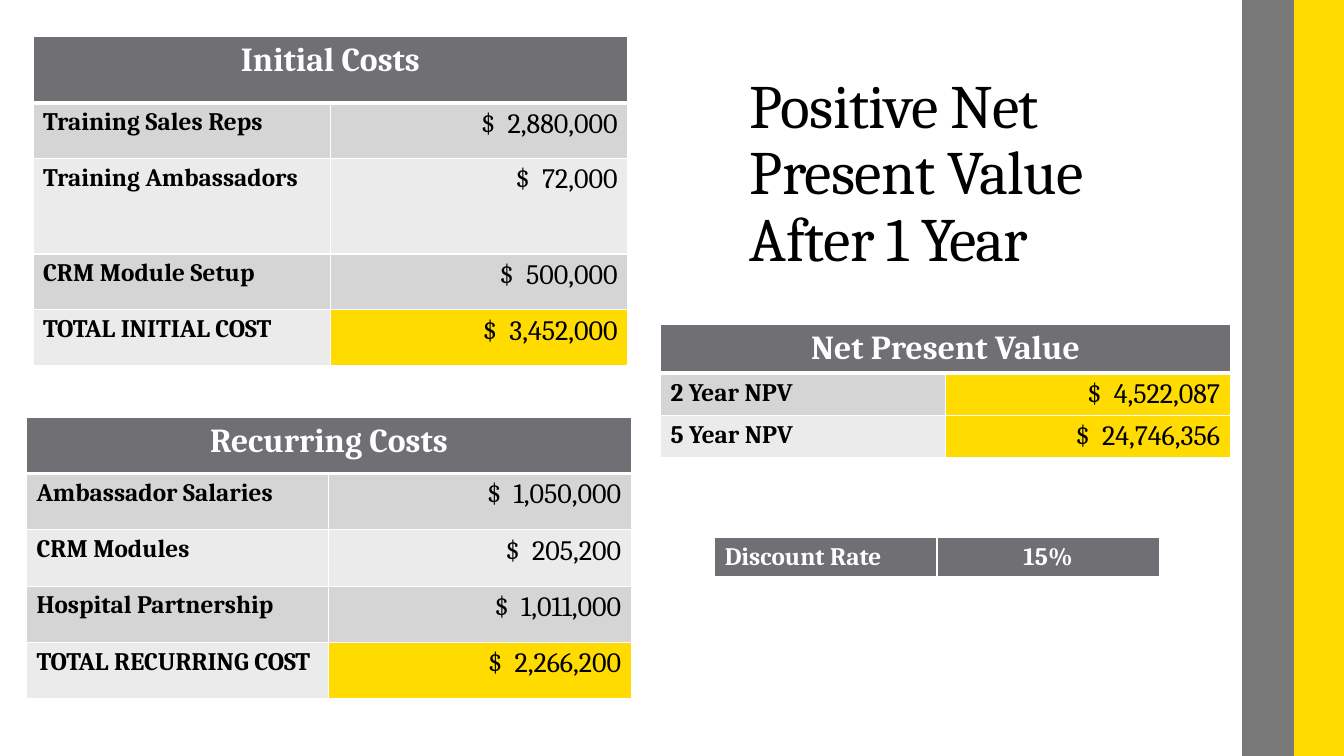
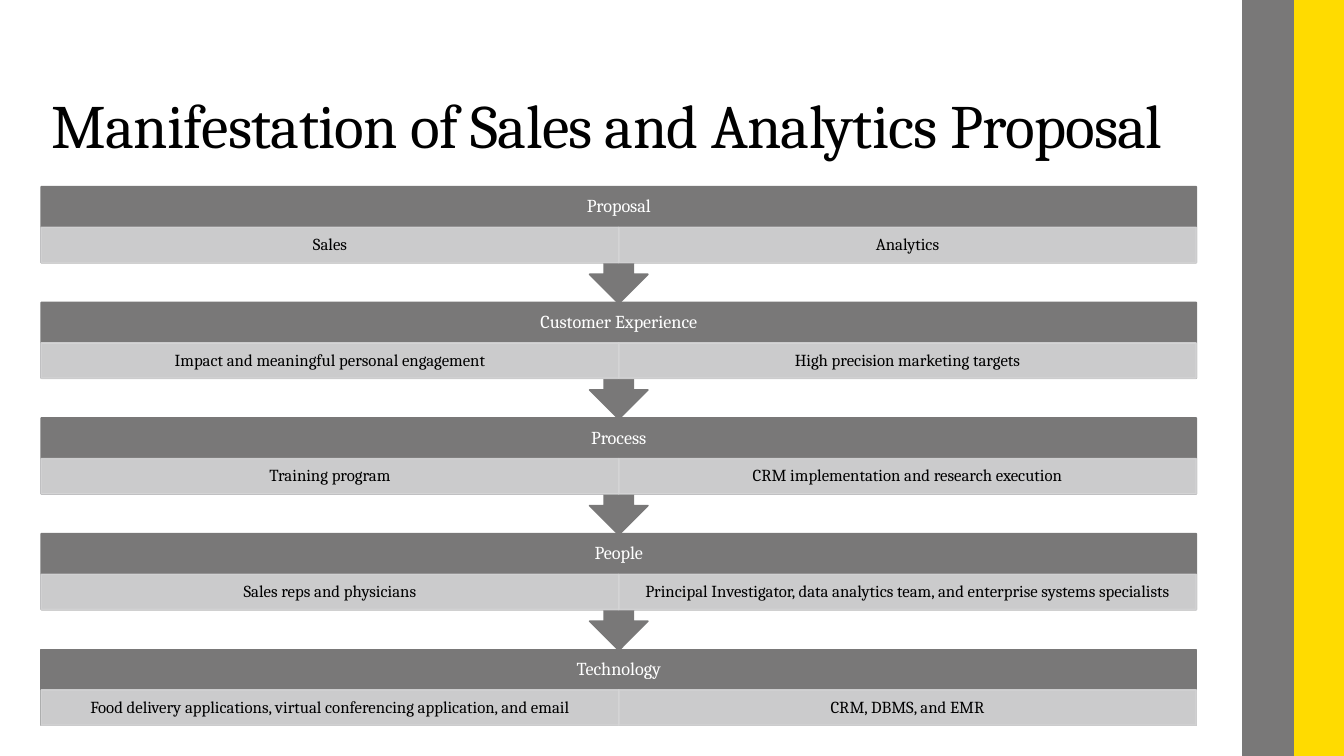
import pptx
import pptx.util
import pptx.dml.color
import pptx.enum.shapes
import pptx.enum.text
import pptx.oxml
import pptx.oxml.ns

Pt = pptx.util.Pt
RGBColor = pptx.dml.color.RGBColor
SHAPE = pptx.enum.shapes.MSO_SHAPE
ALIGN = pptx.enum.text.PP_ALIGN
ANCHOR = pptx.enum.text.MSO_ANCHOR

# Shared look
FONT = "Cambria"
BLACK = RGBColor(0x00, 0x00, 0x00)
WHITE = RGBColor(0xFF, 0xFF, 0xFF)
YELLOW = RGBColor(0xFF, 0xDB, 0x00)
GRAY = RGBColor(0x79, 0x78, 0x78)
HEADER = RGBColor(0x6F, 0x6F, 0x74)
STRIPES = (RGBColor(0xD5, 0xD5, 0xD6), RGBColor(0xEB, 0xEB, 0xEB))
SLIDE_W, SLIDE_H = 960, 540
BANDS = [(YELLOW, 924), (GRAY, 888)]
BAND_W = 36

# Content
NPV_TITLE = ("Positive Net Present Value After 1 Year", (528.5, 28.8, 341.3, 171))
FLOW_TITLE = ("Manifestation of Sales and Analytics Proposal", (29.5, 15, 831, 104.5))

# "marked" is the number of closing rows with a yellow amount
COST_TABLES = [
    {"title": "Recurring Costs", "at": (18.9, 297.9), "width": 432,
     "heights": [40.3] * 5, "marked": 1,
     "rows": [("Ambassador Salaries", 1050000), ("CRM Modules", 205200),
              ("Hospital Partnership", 1011000), ("TOTAL RECURRING COST", 2266200)]},
    {"title": "Initial Costs", "at": (23.6, 26.2), "width": 424.8,
     "heights": [47.3, 39.6, 68.4, 39.8, 39.8], "marked": 1,
     "rows": [("Training Sales Reps", 2880000), ("Training Ambassadors", 72000),
              ("CRM Module Setup", 500000), ("TOTAL INITIAL COST", 3452000)]},
    {"title": "Net Present Value", "at": (471.8, 231.8), "width": 407,
     "heights": [34.5, 30, 30], "marked": 2,
     "rows": [("2 Year NPV", 4522087), ("5 Year NPV", 24746356)]},
]
DISCOUNT = [("Discount Rate", ALIGN.LEFT), ("15%", ALIGN.CENTER)]

STEPS = [
    ("Proposal", "Sales", "Analytics"),
    ("Customer Experience", "Impact and meaningful personal engagement",
     "High precision marketing targets"),
    ("Process", "Training program", "CRM implementation and research execution"),
    ("People", "Sales reps and physicians",
     "Principal Investigator, data analytics team, and enterprise systems specialists"),
    ("Technology",
     "Food delivery applications, virtual conferencing application, and email",
     "CRM, DBMS, and EMR"),
]


def write(tf, text, size, color, bold=False, align=ALIGN.LEFT, spacing=None):
    p = tf.paragraphs[0]
    p.alignment = align
    p.line_spacing = spacing
    r = p.add_run()
    r.text = text
    for name, value in {"name": FONT, "size": Pt(size), "bold": bold}.items():
        setattr(r.font, name, value)
    r.font.color.rgb = color
    return r


def add_box(s, kind, at, color, opacity=100):
    sp = s.shapes.add_shape(kind, *map(Pt, at))
    sp.shadow.inherit = False
    sp.fill.solid()
    sp.fill.fore_color.rgb = color
    sp.line.color.rgb = color
    sp.line.width = Pt(1.1)
    if opacity < 100:
        for clr in sp._element.spPr.iter(pptx.oxml.ns.qn("a:srgbClr")):
            alpha = pptx.oxml.parse_xml(
                f'<a:alpha {pptx.oxml.ns.nsdecls("a")} val="{opacity * 1000}"/>')
            clr.append(alpha)
    return sp


def write_box(sp, text, size, color, bottom=0):
    tf = sp.text_frame
    margins = {"margin_left": 6.5, "margin_right": 6.5,
               "margin_top": 0, "margin_bottom": bottom}
    for name, value in margins.items():
        setattr(tf, name, Pt(value))
    tf.word_wrap = True
    tf.vertical_anchor = ANCHOR.MIDDLE
    write(tf, text, size, color, align=ALIGN.CENTER, spacing=0.9)


def add_slide(prs, title, at):
    s = prs.slides.add_slide(prs.slide_layouts[5])
    sp = s.shapes.title
    sp.left, sp.top, sp.width, sp.height = map(Pt, at)
    tf = sp.text_frame
    tf.word_wrap = True
    tf.auto_size = pptx.enum.text.MSO_AUTO_SIZE.NONE
    tf.vertical_anchor = ANCHOR.BOTTOM
    r = write(tf, title, 44, BLACK, spacing=0.9)
    r._r.get_or_add_rPr().set("spc", "-50")
    for color, left in BANDS:
        add_box(s, SHAPE.RECTANGLE, (left, 0, BAND_W, SLIDE_H), color)
    return s


def format_cell(cell, color, top=1, bottom=1):
    tc_pr = cell._tc.get_or_add_tcPr()
    for side, width in {"L": 1, "R": 1, "T": top, "B": bottom}.items():
        tc_pr.append(pptx.oxml.parse_xml(
            f'<a:ln{side} {pptx.oxml.ns.nsdecls("a")} w="{Pt(width)}"><a:solidFill>'
            f'<a:srgbClr val="{WHITE}"/></a:solidFill></a:ln{side}>'))
    cell.fill.solid()
    cell.fill.fore_color.rgb = color


def add_table(s, at, width, heights):
    frame = s.shapes.add_table(len(heights), 2, *map(Pt, (*at, width, sum(heights))))
    table = frame.table
    table.horz_banding = False
    for column in table.columns:
        column.width = Pt(width / 2)
    for row, height in zip(table.rows, heights):
        row.height = Pt(height)
    return table


def add_cost_table(s, data):
    table = add_table(s, data["at"], data["width"], data["heights"])
    # Header across both columns
    for column in range(2):
        format_cell(table.cell(0, column), HEADER, bottom=3)
    table.cell(0, 0).merge(table.cell(0, 1))
    write(table.cell(0, 0).text_frame, data["title"], 24, WHITE, True, ALIGN.CENTER)
    # Labels and amounts
    first_marked = len(data["rows"]) - data["marked"]
    for i, (label, amount) in enumerate(data["rows"]):
        name, value = table.cell(i + 1, 0), table.cell(i + 1, 1)
        stripe = STRIPES[i % 2]
        top = 3 if i == 0 else 1
        format_cell(name, stripe, top)
        format_cell(value, YELLOW if i >= first_marked else stripe, top)
        write(name.text_frame, label, 18, BLACK, True)
        write(value.text_frame, f"$  {amount:,}", 20, BLACK, align=ALIGN.RIGHT)


def build_npv(prs):
    s = add_slide(prs, *NPV_TITLE)
    for data in COST_TABLES:
        add_cost_table(s, data)
    table = add_table(s, (510.5, 383.8), 317.5, [29.2])
    for column, (text, align) in enumerate(DISCOUNT):
        cell = table.cell(0, column)
        format_cell(cell, HEADER, bottom=3)
        write(cell.text_frame, text, 18, WHITE, True, align)


def build_flow(prs):
    s = add_slide(prs, *FLOW_TITLE)
    left, top, width, pitch = 29.5, 133.4, 825, 82.6
    head_h, branch_h, callout_h = 29, 25.2, 83.4
    for i, (head, *branches) in enumerate(STEPS):
        y = top + i * pitch
        # Heading bar, with an arrow to the next step
        if i < len(STEPS) - 1:
            kind, height = SHAPE.DOWN_ARROW_CALLOUT, callout_h
        else:
            kind, height = SHAPE.RECTANGLE, head_h + branch_h
        bar = add_box(s, kind, (left, y, width, height), GRAY)
        write_box(bar, head, 13, WHITE, bottom=branch_h)
        # Sales and analytics branches
        for j, text in enumerate(branches):
            at = (left + j * width / 2, y + head_h, width / 2, branch_h)
            write_box(add_box(s, SHAPE.RECTANGLE, at, STRIPES[0], 90), text, 12, BLACK)


def main():
    prs = pptx.Presentation()
    prs.slide_width, prs.slide_height = Pt(SLIDE_W), Pt(SLIDE_H)
    build_npv(prs)
    build_flow(prs)
    prs.save("out.pptx")


if __name__ == "__main__":
    main()
